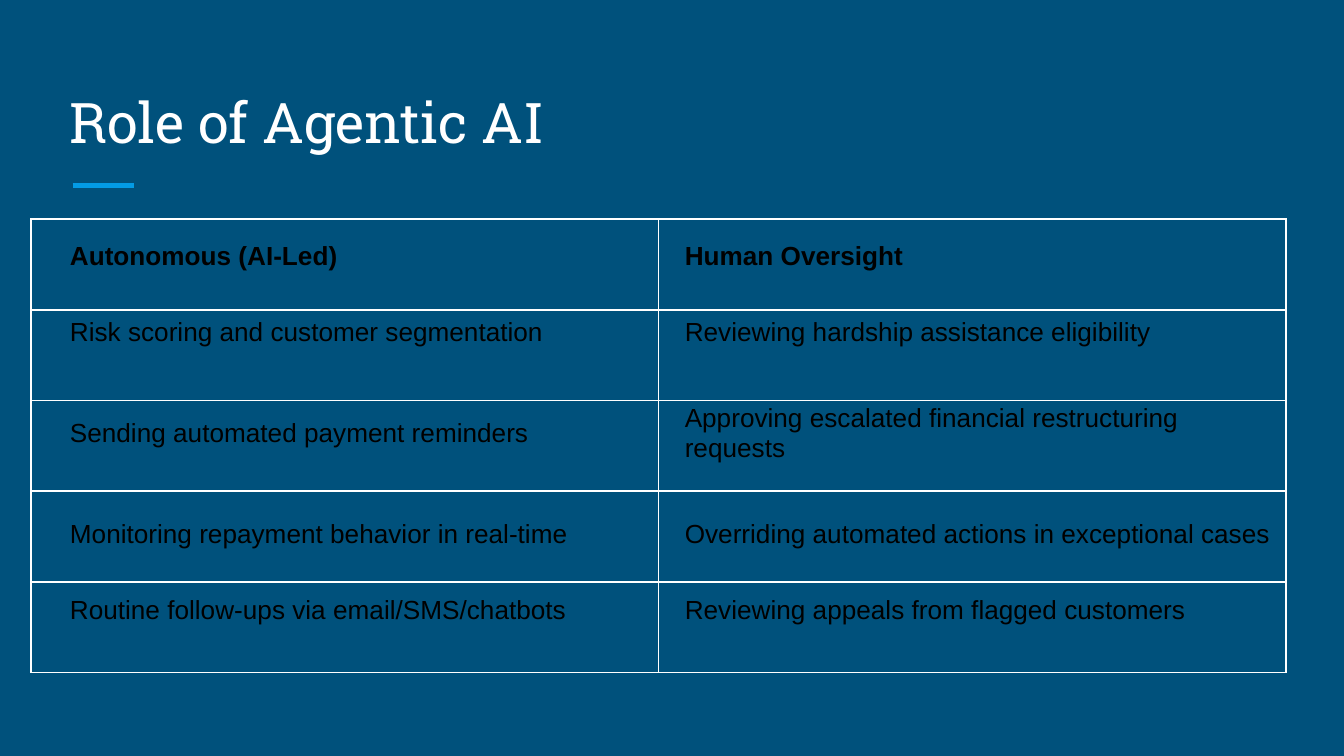
from dataclasses import dataclass

from lxml.etree import SubElement
from pptx import Presentation
from pptx.dml.color import RGBColor
from pptx.enum.shapes import MSO_CONNECTOR
from pptx.enum.text import MSO_ANCHOR
from pptx.oxml.ns import qn
from pptx.slide import Slide
from pptx.table import Table, _Cell
from pptx.text.text import TextFrame
from pptx.util import Emu, Pt

PLAIN = "{2D5ABB26-0587-4C30-8999-92F81FD0307C}"  # no style, no grid


@dataclass
class Grid:
    left: int
    top: int
    col: int
    rows: list[int]


def px(n: int) -> Emu:
    """200 px to the inch."""
    return Emu(n * 4572)


def paint(code: str) -> RGBColor:
    return RGBColor.from_string(code)


def write(frame: TextFrame, text: str, *, size: int, font: str = "Arial",
          color: str = "000000", bold: bool = False) -> None:
    run = frame.paragraphs[0].add_run()
    run.text = text
    run.font.size = Pt(size)
    run.font.name = font
    run.font.bold = bold
    run.font.color.rgb = paint(color)


def edge(cell: _Cell, color: str) -> None:
    """Draw a 1 pt line on all four sides; lines go before the fill."""
    props = cell._tc.get_or_add_tcPr()
    for i, side in enumerate(("lnL", "lnR", "lnT", "lnB")):
        line = SubElement(props, qn(f"a:{side}"), w=str(Pt(1)))
        fill = SubElement(line, qn("a:solidFill"))
        SubElement(fill, qn("a:srgbClr"), val=color)
        props.insert(i, line)


def lay(slide: Slide, grid: Grid) -> Table:
    """Add a two-column table with clear cells."""
    table = slide.shapes.add_table(
        len(grid.rows), 2, px(grid.left), px(grid.top),
        px(2 * grid.col), px(sum(grid.rows))).table
    table.first_row = table.horz_banding = False
    table._tbl.tblPr.find(qn("a:tableStyleId")).text = PLAIN
    for col in table.columns:
        col.width = px(grid.col)
    for row, high in zip(table.rows, grid.rows):
        row.height = px(high)
    for cell in table.iter_cells():
        cell.fill.background()
        cell.vertical_anchor = MSO_ANCHOR.MIDDLE
    return table


ROLES = [
    ("Autonomous (AI-Led)", "Human Oversight"),
    ("Risk scoring and customer segmentation",
     "Reviewing hardship assistance eligibility"),
    ("Sending automated payment reminders",
     "Approving escalated financial restructuring requests"),
    ("Monitoring repayment behavior in real-time",
     "Overriding automated actions in exceptional cases"),
    ("Routine follow-ups via email/SMS/chatbots",
     "Reviewing appeals from flagged customers"),
]


def main() -> None:
    deck = Presentation()
    deck.slide_width, deck.slide_height = px(2000), px(1125)
    slide = deck.slides.add_slide(deck.slide_layouts[6])
    slide.background.fill.solid()
    slide.background.fill.fore_color.rgb = paint("00517C")

    # Accent line
    line = slide.shapes.add_connector(
        MSO_CONNECTOR.STRAIGHT, px(108), px(276), px(200), px(276))
    line.line.color.rgb = paint("039BE5")
    line.line.width = Pt(3)
    SubElement(line._element.spPr, qn("a:effectLst"))

    # Title
    frame = slide.shapes.add_textbox(
        px(84), px(100), px(1830), px(150)).text_frame
    frame.word_wrap = True
    frame.vertical_anchor = MSO_ANCHOR.BOTTOM
    frame.margin_left = frame.margin_right = px(20)
    frame.margin_top = frame.margin_bottom = px(20)
    write(frame, "Role of Agentic AI", size=30, font="Roboto Slab",
          color="FFFFFF")

    # Table of roles
    roles = lay(slide, Grid(84, 326, 915, [112, 112, 190, 112, 112]))
    for r, pair in enumerate(ROLES):
        for c, text in enumerate(pair):
            write(roles.cell(r, c).text_frame, text, size=14, bold=r == 0)

    # Ruled table on top
    ruled = lay(slide, Grid(46, 326, 934, [135] * 5))
    for cell in ruled.iter_cells():
        edge(cell, "FFFFFF")

    deck.save("out.pptx")


if __name__ == "__main__":
    main()
